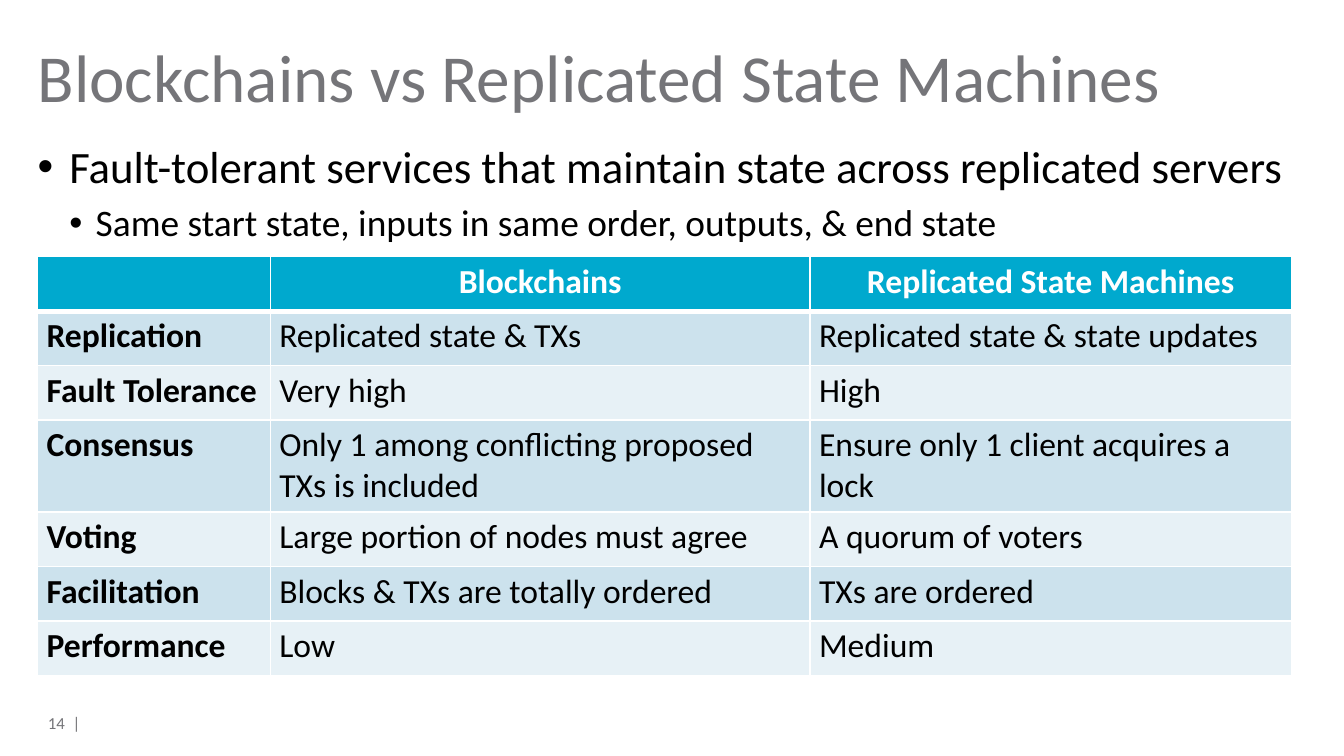
from lxml import etree
from pptx import Presentation
from pptx.dml.color import RGBColor
from pptx.enum import text
from pptx.oxml import ns
from pptx.util import Cm, Pt

LEFT = 0.71
GREY, WHITE, BLACK = "757579", "FFFFFF", "000000"
HEADER, DARK_BAND, LIGHT_BAND = "00A9CE", "CCE2ED", "E7F1F6"
POINTS = [
    ("Fault-tolerant services that maintain state across replicated servers", 24, 0.6, 0.6),
    ("Same start state, inputs in same order, outputs, & end state", 20, 1.1, 0.5),
]
COLUMN_WIDTHS = [4.4, 10.2, 9.1]
ROW_HEIGHT, WRAPPED_HEIGHT = 1.03, 1.74
COMPARISON = [
    ("", "Blockchains", "Replicated State Machines"),
    ("Replication", "Replicated state & TXs", "Replicated state & state updates"),
    ("Fault Tolerance", "Very high", "High"),
    ("Consensus", "Only 1 among conflicting proposed TXs is included",
     "Ensure only 1 client acquires a lock"),
    ("Voting", "Large portion of nodes must agree", "A quorum of voters"),
    ("Facilitation", "Blocks & TXs are totally ordered", "TXs are ordered"),
    ("Performance", "Low", "Medium"),
]


def colour(value):
    return RGBColor.from_string(value)


def add_run(paragraph, words, size, ink, bold=False):
    run = paragraph.add_run()
    run.text = words
    run.font.name = "Calibri"
    run.font.size = Pt(size)
    run.font.bold = bold
    run.font.color.rgb = colour(ink)


def add_frame(slide, box, anchor=text.MSO_ANCHOR.TOP, wrap=True):
    frame = slide.shapes.add_textbox(*map(Cm, box)).text_frame
    frame.word_wrap = wrap
    frame.vertical_anchor = anchor
    frame.margin_left = frame.margin_right = frame.margin_top = frame.margin_bottom = 0
    return frame


def add_title(slide, box):
    title = add_frame(slide, box).paragraphs[0]
    add_run(title, "Blockchains vs Replicated State Machines", 36, GREY)


def add_points(slide, box):
    frame = add_frame(slide, box)
    for level, (words, size, margin, hanging) in enumerate(POINTS):
        point = frame.add_paragraph() if level else frame.paragraphs[0]
        point.level = level
        point.line_spacing = 0.9
        point.space_before = Pt(6 if level else 0)
        properties = point._p.get_or_add_pPr()
        properties.set("marL", str(Cm(margin)))
        properties.set("indent", str(-Cm(hanging)))
        etree.SubElement(properties, ns.qn("a:buFont"), typeface="Arial")
        etree.SubElement(properties, ns.qn("a:buChar"), char="•")
        add_run(point, words, size, BLACK)


def add_page_number(slide, box):
    number = add_frame(slide, box, text.MSO_ANCHOR.MIDDLE, False).paragraphs[0]
    number.alignment = text.PP_ALIGN.RIGHT
    add_run(number, "14  |", 9, GREY)


def set_borders(cell, bottom):
    properties = cell._tc.get_or_add_tcPr()
    for position, side in enumerate(("lnL", "lnR", "lnT", "lnB")):
        width = bottom if side == "lnB" else 1
        line = etree.Element(ns.qn(f"a:{side}"), w=str(Pt(width)))
        fill = etree.SubElement(line, ns.qn("a:solidFill"))
        etree.SubElement(fill, ns.qn("a:srgbClr"), val=WHITE)
        properties.insert(position, line)


def add_comparison(slide, box):
    table = slide.shapes.add_table(len(COMPARISON), len(COLUMN_WIDTHS), *map(Cm, box)).table
    for column, width in zip(table.columns, COLUMN_WIDTHS):
        column.width = Cm(width)
    for row, entries in enumerate(COMPARISON):
        is_header = row == 0
        band = HEADER if is_header else DARK_BAND if row % 2 else LIGHT_BAND
        wrapped = entries[0] == "Consensus"
        table.rows[row].height = Cm(WRAPPED_HEIGHT if wrapped else ROW_HEIGHT)
        for column, words in enumerate(entries):
            cell = table.cell(row, column)
            cell.margin_left = cell.margin_right = Cm(0.17)
            cell.margin_top = cell.margin_bottom = Cm(0.09)
            cell.fill.solid()
            cell.fill.fore_color.rgb = colour(band)
            set_borders(cell, 3 if is_header else 1)
            entry = cell.text_frame.paragraphs[0]
            if is_header:
                entry.alignment = text.PP_ALIGN.CENTER
            if words:
                add_run(entry, words, 18, WHITE if is_header else BLACK,
                        is_header or column == 0)


def main():
    deck = Presentation()
    deck.slide_width, deck.slide_height = Cm(25.4), Cm(14.29)
    slide = deck.slides.add_slide(deck.slide_layouts[6])
    add_points(slide, (LEFT, 2.74, 24, 9.93))
    add_title(slide, (LEFT, 0.66, 24, 1.78))
    add_page_number(slide, (LEFT, 13.54, 0.81, 0.25))
    table_height = ROW_HEIGHT * (len(COMPARISON) - 1) + WRAPPED_HEIGHT
    add_comparison(slide, (LEFT, 4.85, sum(COLUMN_WIDTHS), table_height))
    deck.save("out.pptx")


if __name__ == "__main__":
    main()
